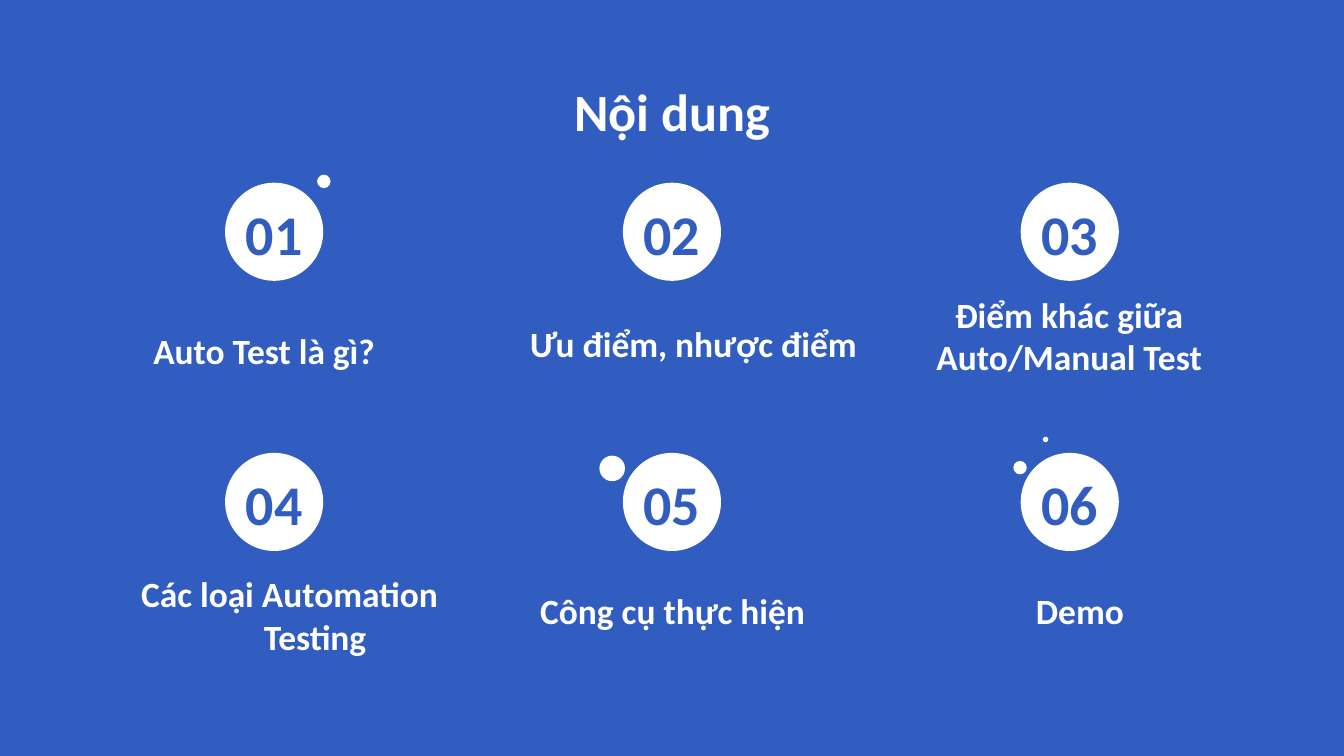
from dataclasses import dataclass

from pptx import Presentation
from pptx.dml.color import RGBColor
from pptx.enum.shapes import MSO_SHAPE
from pptx.enum.text import MSO_ANCHOR, PP_ALIGN
from pptx.util import Inches, Pt


@dataclass(frozen=True)
class Theme:
    font: str = "Calibri"
    blue: RGBColor = RGBColor(0x30, 0x5D, 0xBF)
    white: RGBColor = RGBColor(0xFF, 0xFF, 0xFF)
    title: int = 28
    number: int = 30
    caption: int = 19


THEME = Theme()
SLIDE_WIDTH = 10
SLIDE_HEIGHT = SLIDE_WIDTH * 9 / 16
COLUMNS = 3
BADGE = 0.73
CENTER_X, COLUMN_PITCH = SLIDE_WIDTH / 2, 2.96
TOP_ROW, ROW_PITCH = 1.36, 2.01

TOPICS = [
    ("Auto Test là gì?", (0.64, 2.35, 2.65, 0.46)),
    ("Ưu điểm, nhược điểm", (3.68, 2.3, 2.96, 0.75)),
    ("Điểm khác giữa Auto/Manual Test", (6.63, 2.08, 2.65, 0.46)),
    ("Các loại Automation Testing", (0.58, 4.16, 3.03, 0.67)),
    ("Công cụ thực hiện", (3.68, 4.28, 2.65, 0.61)),
    ("Demo", (6.71, 4.28, 2.65, 0.46)),
]
HANGING_TOPIC = 4
DOTS = [(2.36, 1.3, 0.1), (7.54, 3.43, 0.1), (7.76, 3.25, 0.04), (4.46, 3.39, 0.19)]


def write(shape, text, size, color, inset=0.1, anchor=MSO_ANCHOR.TOP):
    frame = shape.text_frame
    frame.word_wrap = True
    frame.vertical_anchor = anchor
    frame.margin_left = frame.margin_right = Inches(inset)
    frame.margin_top = frame.margin_bottom = Inches(inset)
    para = frame.paragraphs[0]
    para.text = text
    para.alignment = PP_ALIGN.CENTER
    para.font.name = THEME.font
    para.font.size = Pt(size)
    para.font.bold = True
    para.font.color.rgb = color
    return para


def add_title(page, text):
    title = page.shapes.title
    title.left, title.top = Inches(0.34), Inches(0.49)
    title.width, title.height = Inches(9.32), Inches(0.63)
    write(title, text, THEME.title, THEME.white)


def add_circle(page, left, top, size):
    circle = page.shapes.add_shape(
        MSO_SHAPE.OVAL, Inches(left), Inches(top), Inches(size), Inches(size))
    circle.shadow.inherit = False
    circle.fill.solid()
    circle.fill.fore_color.rgb = THEME.white
    circle.line.fill.background()
    return circle


def add_badge(page, number):
    row, column = divmod(number - 1, COLUMNS)
    left = CENTER_X + (column - 1) * COLUMN_PITCH - BADGE / 2
    badge = add_circle(page, left, TOP_ROW + row * ROW_PITCH, BADGE)
    write(badge, f"{number:02}", THEME.number, THEME.blue, 0, MSO_ANCHOR.BOTTOM)


def add_caption(page, text, place):
    box = page.shapes.add_textbox(*map(Inches, place))
    return write(box, text, THEME.caption, THEME.white)


def hang(para, margin, indent):
    properties = para._p.get_or_add_pPr()
    properties.set("marL", str(Inches(margin)))
    properties.set("indent", str(Inches(indent)))


def main():
    deck = Presentation()
    deck.slide_width, deck.slide_height = Inches(SLIDE_WIDTH), Inches(SLIDE_HEIGHT)
    page = deck.slides.add_slide(deck.slide_layouts[5])
    page.background.fill.solid()
    page.background.fill.fore_color.rgb = THEME.blue

    add_title(page, "Nội dung")
    for number, (text, place) in enumerate(TOPICS, 1):
        add_badge(page, number)
        para = add_caption(page, text, place)
        if number == HANGING_TOPIC:
            hang(para, 0.5, -0.38)
    for dot in DOTS:
        add_circle(page, *dot)

    deck.save("out.pptx")


if __name__ == "__main__":
    main()
